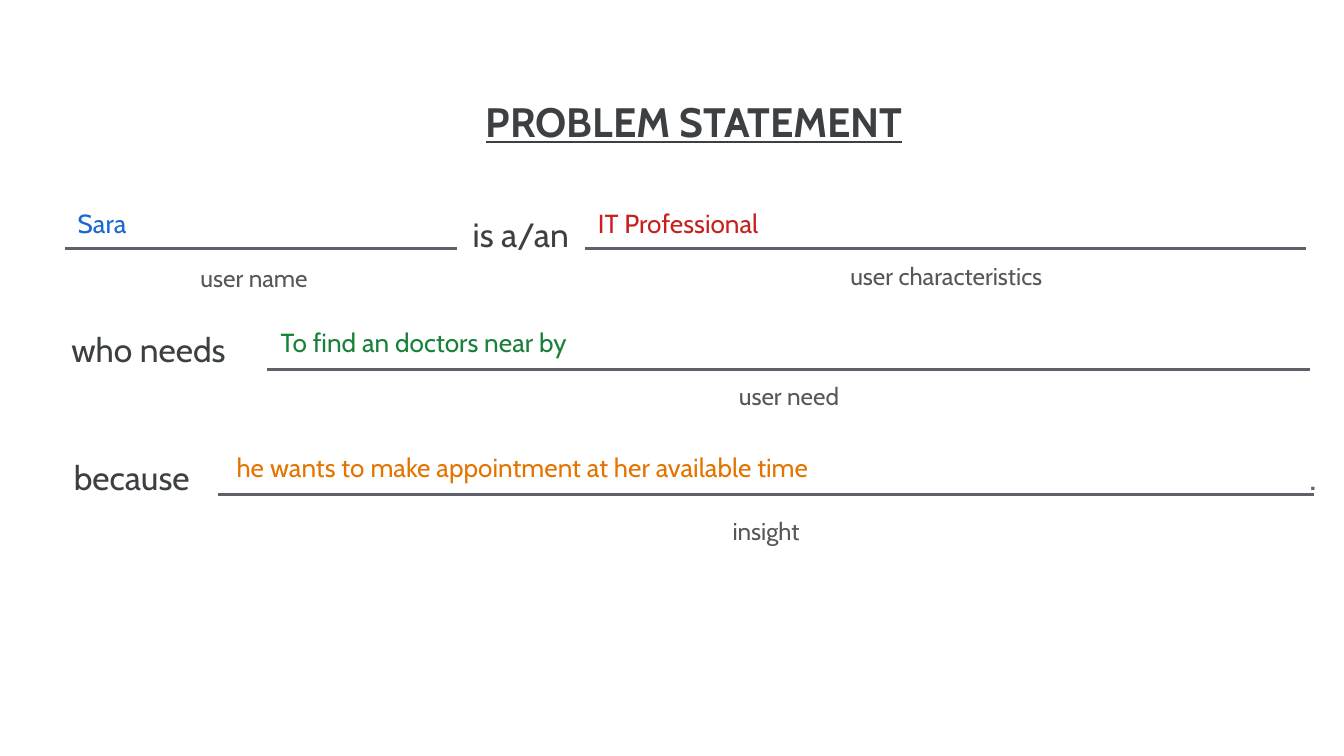
from dataclasses import dataclass

from lxml import etree
from pptx import Presentation
from pptx.dml.color import RGBColor
from pptx.enum.shapes import MSO_CONNECTOR, MSO_SHAPE
from pptx.enum.text import MSO_ANCHOR, PP_ALIGN
from pptx.oxml.ns import qn
from pptx.util import Inches, Pt

LEFT, CENTER = PP_ALIGN.LEFT, PP_ALIGN.CENTER
TOP = MSO_ANCHOR.TOP
STRAIGHT = MSO_CONNECTOR.STRAIGHT
RECTANGLE = MSO_SHAPE.RECTANGLE


@dataclass(frozen=True)
class Theme:
    font: str = "Cabin"
    paper: str = "FFFFFF"
    ink: str = "3C4043"
    caption: str = "575757"
    rule: str = "5E6268"
    full_stop: str = "646464"
    blue: str = "1967D2"
    red: str = "C5221F"
    green: str = "188038"
    orange: str = "E37400"
    title_size: int = 22
    full_stop_size: int = 20
    phrase_size: int = 18
    answer_size: int = 14
    caption_size: int = 13
    rule_width: float = 1.5


def write(shape, text, *, font, size, color, align=LEFT, bold=False,
          underline=False, inset=0.1, left_inset=None):
    frame = shape.text_frame
    frame.word_wrap = True
    frame.vertical_anchor = TOP
    frame.margin_top = frame.margin_right = frame.margin_bottom = Inches(inset)
    frame.margin_left = Inches(inset if left_inset is None else left_inset)
    para = frame.paragraphs[0]
    para.alignment = align
    span = para.add_run()
    span.text = text
    span.font.name = font
    span.font.size = Pt(size)
    span.font.bold = bold
    span.font.underline = underline
    span.font.color.rgb = RGBColor.from_string(color)


class StatementSlide:
    def __init__(self, page, theme):
        self.page = page
        self.theme = theme

    def text(self, text, box, **style):
        shape = self.page.shapes.add_textbox(*map(Inches, box))
        write(shape, text, font=self.theme.font, **style)

    def title(self, text, box):
        theme = self.theme
        shape = self.page.shapes.add_shape(RECTANGLE, *map(Inches, box))
        shape.shadow.inherit = False
        shape.fill.solid()
        shape.fill.fore_color.rgb = RGBColor.from_string(theme.paper)
        shape.line.fill.background()
        write(shape, text, font=theme.font, size=theme.title_size,
              color=theme.ink, align=CENTER, bold=True, underline=True)

    def phrase(self, text, box, inset=0.1):
        self.text(text, box, size=self.theme.phrase_size,
                  color=self.theme.ink, align=CENTER, inset=inset)

    def rule(self, left, right, y):
        line = self.page.shapes.add_connector(
            STRAIGHT, Inches(left), Inches(y), Inches(right), Inches(y))
        line.line.color.rgb = RGBColor.from_string(self.theme.rule)
        line.line.width = Pt(self.theme.rule_width)
        etree.SubElement(line._element.spPr, qn("a:effectLst"))

    def answer(self, text, color, left, top, width, indent=0.1):
        self.text(text, (left, top, width, 0.42), color=color,
                  size=self.theme.answer_size, left_inset=indent)

    def caption(self, text, box):
        self.text(text, box, size=self.theme.caption_size,
                  color=self.theme.caption, align=CENTER)


def main():
    deck = Presentation()
    deck.slide_width = Inches(10)
    deck.slide_height = deck.slide_width * 9 // 16
    theme = Theme()
    slide = StatementSlide(deck.slides.add_slide(deck.slide_layouts[6]), theme)

    slide.title("PROBLEM STATEMENT", (0.43, 0.62, 9.47, 0.54))

    slide.rule(0.48, 3.4, 1.85)
    slide.answer("Sara", theme.blue, 0.48, 1.44, 2.92)
    slide.caption("user name", (0.43, 1.86, 2.92, 0.35))
    slide.phrase("is a/an", (3.4, 1.54, 0.95, 0.4), inset=0.05)
    slide.rule(4.35, 9.72, 1.85)
    slide.answer("IT Professional", theme.red, 4.35, 1.44, 5.38)
    slide.caption("user characteristics", (4.35, 1.84, 5.38, 0.35))

    slide.phrase("who needs", (0.09, 2.35, 2.03, 0.63))
    slide.rule(1.99, 9.75, 2.75)
    slide.answer("To find an doctors near by", theme.green, 1.99, 2.33, 7.76)
    slide.caption("user need", (1.99, 2.74, 7.76, 0.52))

    slide.phrase("because", (0.09, 3.3, 1.78, 0.54))
    slide.rule(1.62, 9.78, 3.68)
    slide.answer("he wants to make appointment at her available time",
                 theme.orange, 1.62, 3.26, 8.11, indent=0.14)
    slide.caption("insight", (1.62, 3.74, 8.16, 0.63))
    slide.text(".", (9.69, 3.32, 0.32, 0.44), size=theme.full_stop_size,
               color=theme.full_stop, inset=0.05)

    deck.save("out.pptx")


if __name__ == "__main__":
    main()
